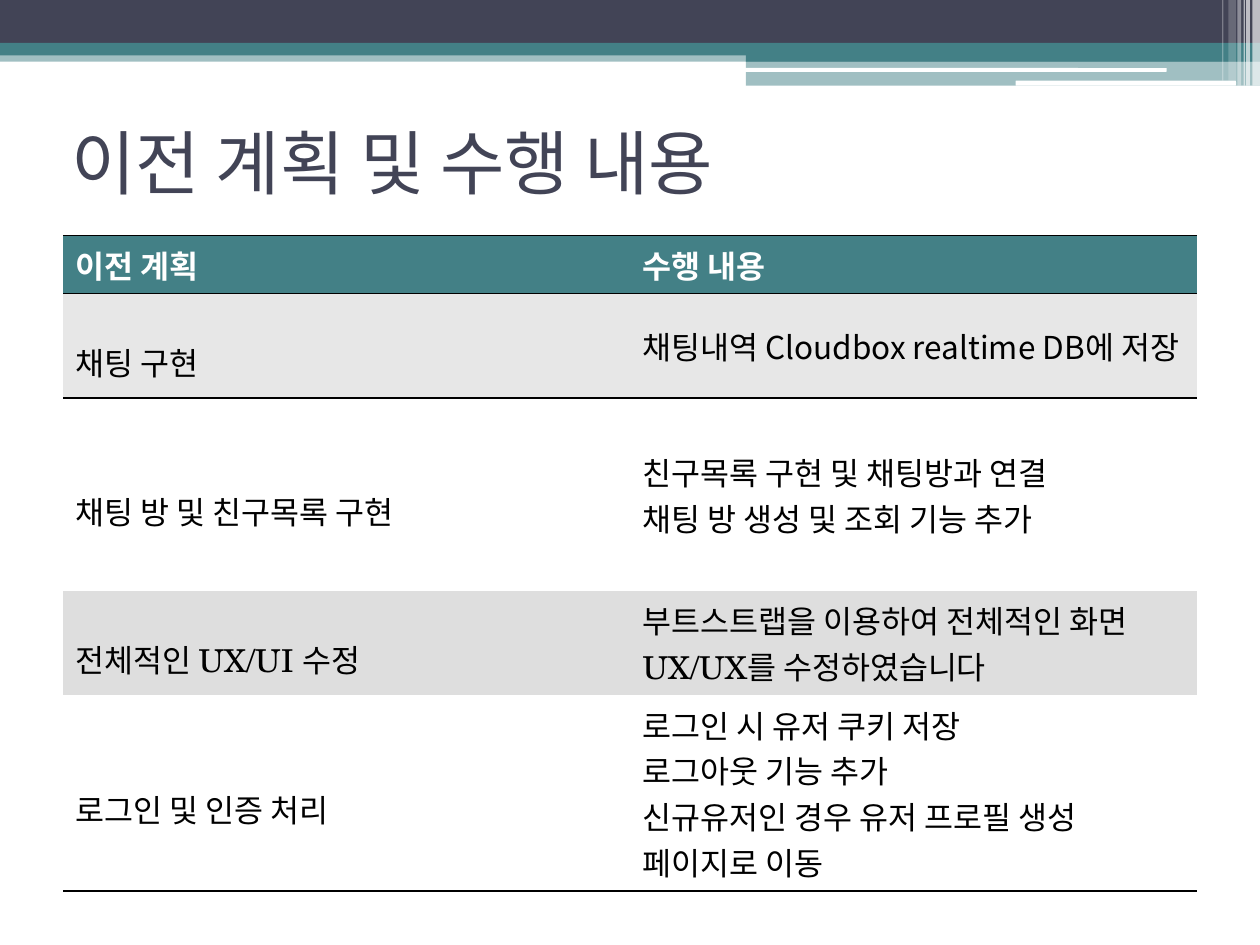
import pptx
import pptx.util
import pptx.dml.color
import pptx.enum.shapes
import pptx.enum.text
import pptx.oxml
import pptx.oxml.ns
import lxml.etree

Inches = pptx.util.Inches
Pt = pptx.util.Pt
Anchor = pptx.enum.text.MSO_ANCHOR
Shape = pptx.enum.shapes.MSO_SHAPE
qn = pptx.oxml.ns.qn

NAVY, TEAL, WHITE, BLACK = "424456", "438086", "FFFFFF", "000000"
SANS, SERIF, HEAD = "Noto Sans CJK KR", "TeX Gyre Schola", "Karla"
NO_STYLE = "{2D5ABB26-0587-4C30-8999-92F81FD0307C}"
LEFT_FONTS = [SANS, SANS, SANS, SERIF, SERIF]
RIGHT_FONTS = [SANS, SANS, SANS, SERIF, SANS]

ROWS = [
    (0.46, TEAL, "이전 계획", "수행 내용"),
    (0.83, "E7E7E7", "채팅 구현", "채팅내역 Cloudbox realtime DB에 저장"),
    (1.53, WHITE, "채팅 방 및 친구목록 구현",
     "친구목록 구현 및 채팅방과 연결\n채팅 방 생성 및 조회 기능 추가"),
    (0.83, "DEDEDE", "전체적인 UX/UI 수정",
     "부트스트랩을 이용하여 전체적인 화면 UX/UX를 수정하였습니다"),
    (1.55, WHITE, "로그인 및 인증 처리",
     "로그인 시 유저 쿠키 저장\n로그아웃 기능 추가\n"
     "신규유저인 경우 유저 프로필 생성 페이지로 이동"),
]


def paint(fill, color, alpha=100):
    """Fill with a hex colour at an opacity in percent."""
    fill.solid()
    fill.fore_color.rgb = pptx.dml.color.RGBColor.from_string(color)
    if alpha < 100:
        tint = fill._xPr.find(".//" + qn("a:srgbClr"))
        lxml.etree.SubElement(tint, qn("a:alpha"), val=str(alpha * 1000))


def write(frame, text, size, color, face, bold=False, spacing=None):
    frame.word_wrap = True
    frame.text = text
    for para in frame.paragraphs:
        font = para.font
        font.size, font.bold, font.name = Pt(size), bold, face
        paint(font.fill, color)
        para.line_spacing = spacing
        for run in para.runs:
            props = run._r.get_or_add_rPr()
            lxml.etree.SubElement(props, qn("a:ea"), typeface=SANS)


def edge(cell, side, width, color=BLACK):
    """Draw one border of a cell; side is T or B."""
    cell._tc.get_or_add_tcPr().append(pptx.oxml.parse_xml(
        f'<a:ln{side} {pptx.oxml.ns.nsdecls("a")} w="{int(Pt(width))}">'
        f'<a:solidFill><a:srgbClr val="{color}"/></a:solidFill></a:ln{side}>'))


def add_bar(slide, left, top, width, height, color, alpha=100, kind=Shape.RECTANGLE):
    bar = slide.shapes.add_shape(
        kind, Inches(left), Inches(top), Inches(width), Inches(height))
    bar.shadow.inherit = False
    bar.line.fill.background()
    paint(bar.fill, color, alpha)


def add_banner(slide, left, top, width):
    right = left + width
    step = left + 5.92
    wide = right - step
    add_bar(slide, left, top + 0.4, width, 0.09, TEAL, 50)
    add_bar(slide, left, top, width, 0.34, NAVY)
    add_bar(slide, left, top + 0.34, width, 0.1, TEAL)
    add_bar(slide, step, top + 0.39, wide, 0.1, TEAL)
    add_bar(slide, step, top + 0.48, wide, 0.2, TEAL, 50)
    for x, y, w, h in [(5.91, 0.54, 3.35, 0.03), (8.06, 0.64, 1.75, 0.04)]:
        add_bar(slide, left + x, top + y, w, h, WHITE, kind=Shape.ROUNDED_RECTANGLE)
    stripes = [(0.06, 0.06, 0.68, 65), (0.11, 0.03, 0.68, 65),
               (0.13, 0.01, 0.68, 60), (0.18, 0.03, 0.68, 40),
               (0.25, 0.06, 0.64, 20), (0.3, 0.01, 0.64, 30)]
    for inset, w, h, alpha in stripes:
        add_bar(slide, right - inset, top, w, h, WHITE, alpha)


def add_title(slide, left, top, width, height):
    box = slide.shapes.add_textbox(
        Inches(left), Inches(top), Inches(width), Inches(height))
    box.text_frame.vertical_anchor = Anchor.MIDDLE
    write(box.text_frame, "이전 계획 및 수행 내용", 40, NAVY, HEAD)


def add_plan(slide, left, top, width):
    """Table of earlier plans beside the work done."""
    height = sum(row[0] for row in ROWS)
    table = slide.shapes.add_table(
        len(ROWS), 2, Inches(left), Inches(top),
        Inches(width), Inches(height)).table
    table.horz_banding = False
    table._tbl.tblPr.find(qn("a:tableStyleId")).text = NO_STYLE
    last = len(ROWS) - 1
    for i, (tall, fill, *texts) in enumerate(ROWS):
        table.rows[i].height = Inches(tall)
        for j, text in enumerate(texts):
            cell = table.cell(i, j)
            face = (LEFT_FONTS, RIGHT_FONTS)[j][i]
            spacing = 1.7 if i and j == 0 else None
            write(cell.text_frame, text, 18, BLACK if i else WHITE,
                  face, i == 0, spacing)
            centred = i and (j == 0 or i < 3)
            cell.vertical_anchor = Anchor.MIDDLE if centred else Anchor.TOP
            if i < 2:
                edge(cell, "T", 0.96)
            if i in (0, last):
                edge(cell, "B", 0.96)
            paint(cell.fill, fill)


def main():
    deck = pptx.Presentation()
    deck.slide_width, deck.slide_height = Inches(10), Inches(7.5)
    slide = deck.slides.add_slide(deck.slide_layouts[6])
    add_banner(slide, 0, 0, 10)
    add_title(slide, 0.47, 0.7, 9, 1.17)
    add_plan(slide, 0.5, 1.87, 9)
    deck.save("out.pptx")


if __name__ == "__main__":
    main()
